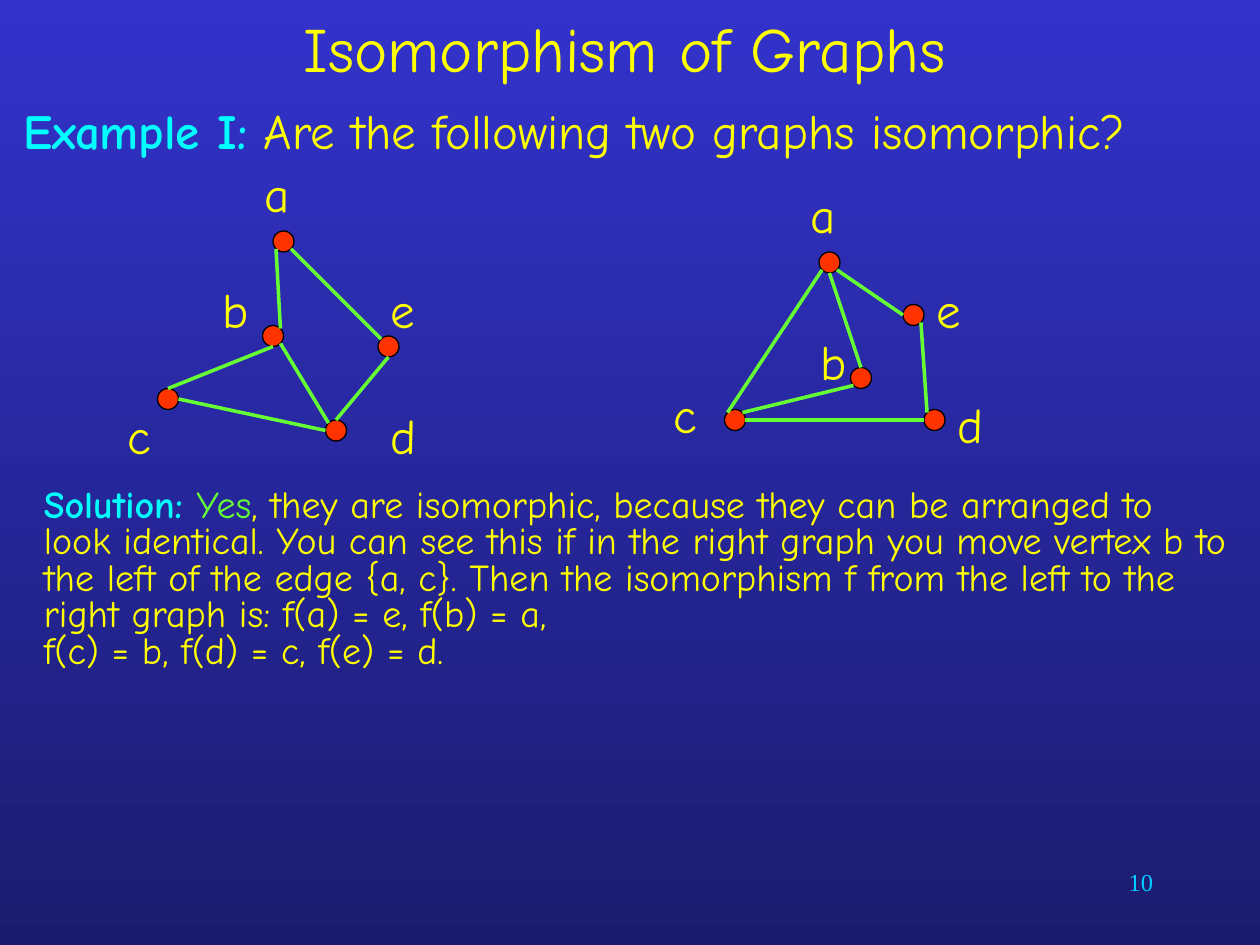
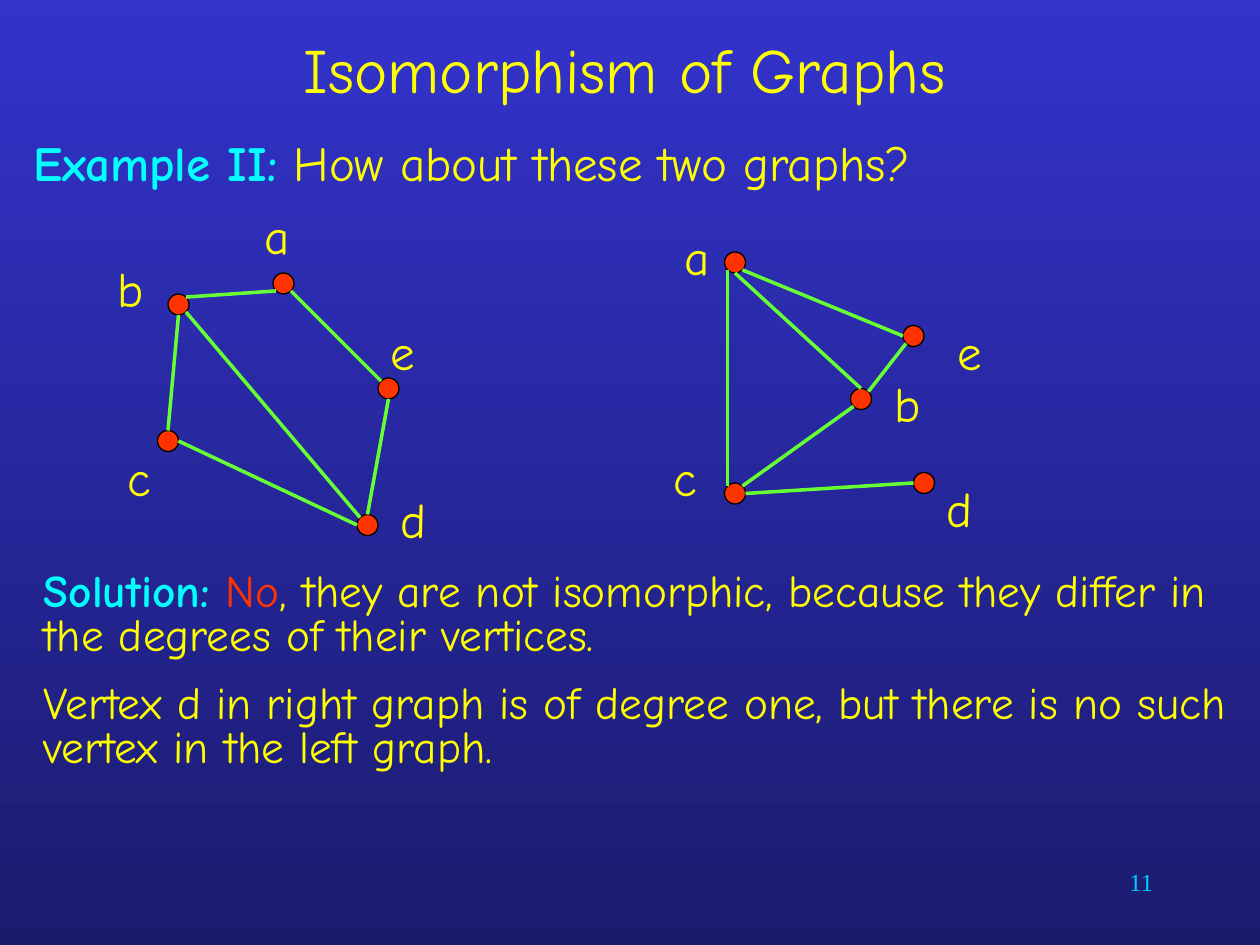
"""Build two slides that compare pairs of graphs for isomorphism."""
from lxml import etree
from pptx import Presentation
from pptx import util as u
from pptx.dml.color import RGBColor
from pptx.enum import shapes, text
from pptx.oxml import ns

TOP_BLUE = RGBColor(0x33, 0x33, 0xCC)
BOTTOM_BLUE = RGBColor(0x1B, 0x1B, 0x6E)
YELLOW = RGBColor(0xFF, 0xFF, 0x00)
CYAN = RGBColor(0x00, 0xFF, 0xFF)
GREEN = RGBColor(0x66, 0xFF, 0x33)
RED = RGBColor(0xFF, 0x33, 0x00)
BLACK = RGBColor(0x00, 0x00, 0x00)
NUMBER_BLUE = RGBColor(0x00, 0xCC, 0xFF)

SIDES = {
    "n": (0, -1), "s": (0, 1), "w": (-1, 0), "e": (1, 0),
    "nw": (-0.71, -0.71), "ne": (0.71, -0.71),
    "sw": (-0.71, 0.71), "se": (0.71, 0.71),
}
LABEL_WIDTHS = {"a": 8, "b": 4, "c": 5, "d": 8, "e": 8}

LEFT_EDGES = ["d.n e.s", "d.w c.e", "c.n b.s", "b.ne a.sw", "a.se e.nw", "b.se d.nw"]
RIGHT_EDGES = ["c.e d.w", "c.ne b.sw", "b.n a.s", "a.se e.w", "a.sw c.nw"]


def grid(count):
    """Return the length of a number of grid steps, twelve to the inch."""
    return u.Cm(count * 2.54 / 12)


def place(shape, left, top, width, height):
    """Move and size a shape in grid steps."""
    shape.left, shape.top = grid(left), grid(top)
    shape.width, shape.height = grid(width), grid(height)


def write(para, words, size=28, color=YELLOW, bold=False, font="Comic Neue"):
    """Add formatted text to a paragraph, with line breaks at newlines."""
    for index, line in enumerate(words.split("\n")):
        if index:
            para.add_line_break()
        span = para.add_run()
        span.text = line
        span.font.size = u.Pt(size)
        span.font.name = font
        span.font.bold = bold
        span.font.color.rgb = color


def add_box(parent, left, top, width, height):
    """Add a wrapping text box and return it."""
    box = parent.shapes.add_textbox(*map(grid, (left, top, width, height)))
    box.text_frame.word_wrap = True
    return box


def add_heading(page, title_height, example, question, left, top, width):
    """Fill the title and the example line."""
    title, body = page.placeholders
    place(title, 3, 0, 113, title_height)
    place(body, left, top, width, 7)
    for holder in (title, body):
        holder.text_frame.auto_size = text.MSO_AUTO_SIZE.NONE
    heading = title.text_frame.paragraphs[0]
    heading.alignment = text.PP_ALIGN.CENTER
    write(heading, "Isomorphism of Graphs", size=36)

    para = body.text_frame.paragraphs[0]
    properties = para._p.get_or_add_pPr()
    properties.set("marL", "0")
    properties.set("indent", "0")
    etree.SubElement(properties, ns.qn("a:buNone"))
    para.space_before = u.Pt(0)
    write(para, example, color=CYAN, bold=True)
    write(para, " " + question)


def add_vertex(graph, x, y):
    """Add a vertex centred on a grid point."""
    vertex = graph.shapes.add_shape(
        shapes.MSO_SHAPE.FLOWCHART_CONNECTOR, *map(grid, (x - 1, y - 1, 2, 2)))
    vertex.shadow.inherit = False
    vertex.fill.solid()
    vertex.fill.fore_color.rgb = RED
    vertex.line.color.rgb = BLACK
    vertex.line.width = u.Pt(0.75)


def add_label(graph, name, left, top):
    """Add the letter of a vertex."""
    box = add_box(graph, left, top, LABEL_WIDTHS[name], 6.84)
    box.text_frame.auto_size = text.MSO_AUTO_SIZE.SHAPE_TO_FIT_TEXT
    write(box.text_frame.paragraphs[0], name)


def add_edge(graph, vertices, edge):
    """Join two vertices at the named sides of their circles."""
    ends = []
    for end in edge.split():
        name, side = end.split(".")
        ends += [grid(c + d) for c, d in zip(vertices[name], SIDES[side])]
    line = graph.shapes.add_connector(shapes.MSO_CONNECTOR.STRAIGHT, *ends)
    line.line.color.rgb = GREEN
    line.line.width = u.Pt(2)
    etree.SubElement(line._element.spPr, ns.qn("a:effectLst"))


def add_graph(page, vertices, labels, edges):
    """Add a grouped graph of vertices, letters and edges."""
    graph = page.shapes.add_group_shape()
    for point in vertices.values():
        add_vertex(graph, *point)
    for name, corner in labels.items():
        add_label(graph, name, *corner)
    for edge in edges:
        add_edge(graph, vertices, edge)


def add_solution(page, top, size, answer, color, reason, *more):
    """Add the solution with its coloured answer and any further paragraphs."""
    frame = add_box(page, 3, top, 115, 24).text_frame
    para = frame.paragraphs[0]
    write(para, "Solution: ", size=size, color=CYAN, bold=True)
    write(para, answer, size=size, color=color)
    write(para, reason, size=size)
    for words in more:
        extra = frame.add_paragraph()
        extra.space_before = u.Pt(7)
        write(extra, words, size=size)
    for para in frame.paragraphs:
        para.line_spacing = 0.8
        para.space_after = u.Pt(7)


def add_number(page, number):
    """Add the page number at the bottom right."""
    para = add_box(page, 86, 82, 25, 6).text_frame.paragraphs[0]
    para.alignment = text.PP_ALIGN.RIGHT
    write(para, str(number), size=14, color=NUMBER_BLUE, font="Times New Roman")


def paint_background(master):
    """Give every page the vertical blue gradient."""
    fill = master.background.fill
    fill.gradient()
    fill.gradient_angle = 270
    for stop, color, position in zip(fill.gradient_stops, (TOP_BLUE, BOTTOM_BLUE), (0, 1)):
        stop.color.rgb = color
        stop.position = position


def add_example_one(deck):
    """Add the page with two isomorphic graphs."""
    page = deck.slides.add_slide(deck.slide_layouts[1])
    add_heading(page, 9, "Example I:", "Are the following two graphs isomorphic?", 1, 9, 119)
    add_graph(
        page,
        {"a": (27, 23), "b": (26, 32), "c": (16, 38), "d": (32, 41), "e": (37, 33)},
        {"a": (24, 15), "b": (20, 26), "c": (11, 38), "d": (36, 38), "e": (36, 26)},
        LEFT_EDGES)
    add_graph(
        page,
        {"a": (79, 25), "b": (82, 36), "c": (70, 40), "d": (89, 40), "e": (87, 30)},
        {"a": (76, 17), "b": (77, 31), "c": (63, 36), "d": (90, 37), "e": (88, 26)},
        RIGHT_EDGES + ["e.se d.nw"])
    add_solution(
        page, 46, 21.7, "Yes", GREEN,
        ", they are isomorphic, because they can be arranged to look identical. "
        "You can see this if in the right graph you move vertex b to the left of "
        "the edge {a, c}. Then the isomorphism f from the left to the right graph "
        "is: f(a) = e, f(b) = a,\nf(c) = b, f(d) = c, f(e) = d.")
    add_number(page, 10)


def add_example_two(deck):
    """Add the page with two graphs that are not isomorphic."""
    page = deck.slides.add_slide(deck.slide_layouts[1])
    add_heading(page, 13, "Example II:", "How about these two graphs?", 2, 12, 116)
    add_graph(
        page,
        {"a": (27, 27), "b": (17, 29), "c": (16, 42), "d": (35, 50), "e": (37, 37)},
        {"a": (24, 19), "b": (10, 24), "c": (11, 42), "d": (37, 46), "e": (36, 30)},
        LEFT_EDGES)
    add_graph(
        page,
        {"a": (70, 25), "b": (82, 38), "c": (70, 47), "d": (88, 46), "e": (87, 32)},
        {"a": (64, 21), "b": (84, 35), "c": (63, 42), "d": (89, 45), "e": (90, 30)},
        RIGHT_EDGES + ["e.sw b.ne"])
    add_solution(
        page, 54, 25.9, "No", RED,
        ", they are not isomorphic, because they differ in the degrees of their vertices.",
        "Vertex d in right graph is of degree one, but there is no such vertex "
        "in the left graph.")
    add_number(page, 11)


def main():
    """Build and save the deck."""
    deck = Presentation()
    deck.slide_width, deck.slide_height = u.Cm(25.4), u.Cm(19.05)
    paint_background(deck.slide_master)
    add_example_one(deck)
    add_example_two(deck)
    deck.save("out.pptx")


if __name__ == "__main__":
    main()
